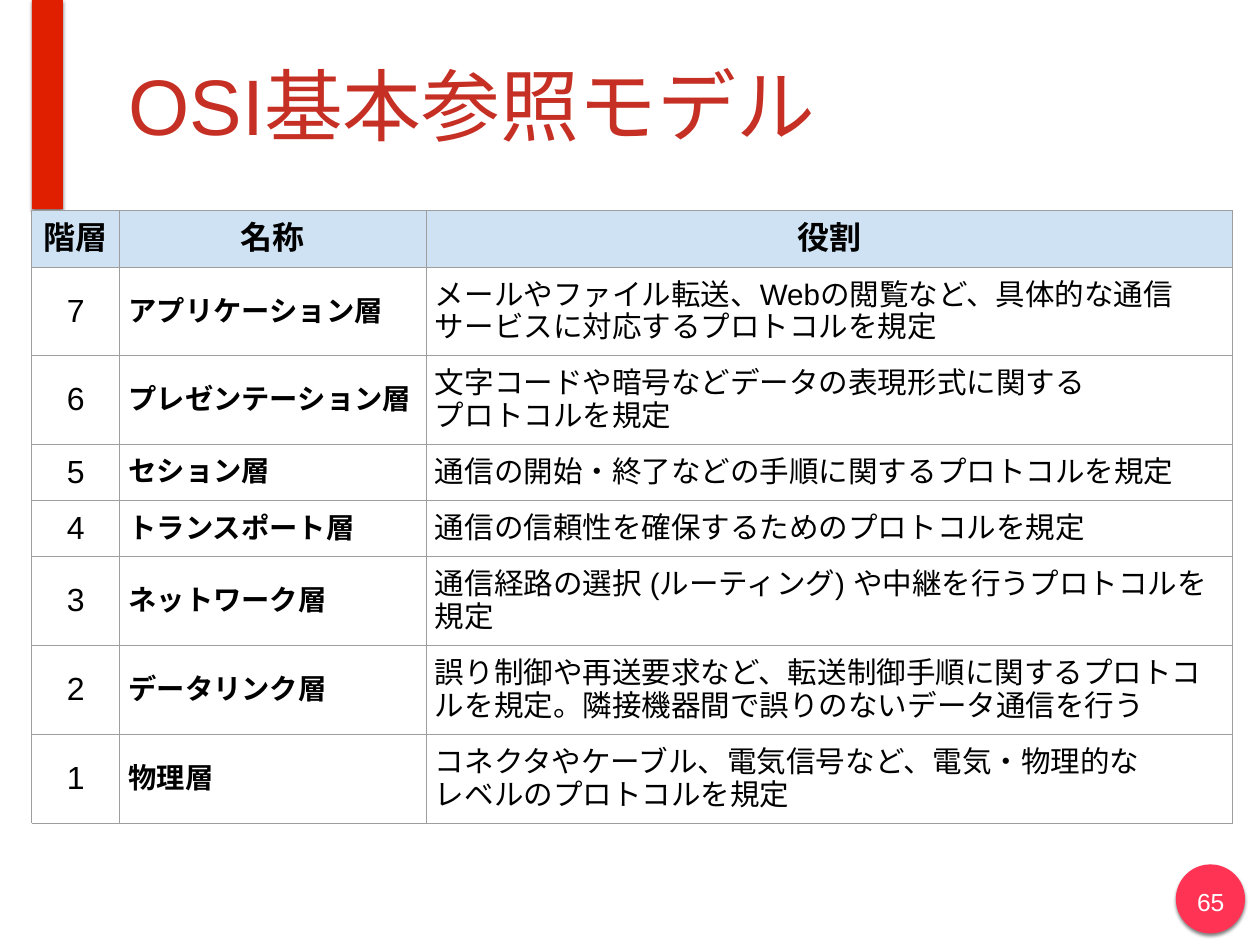
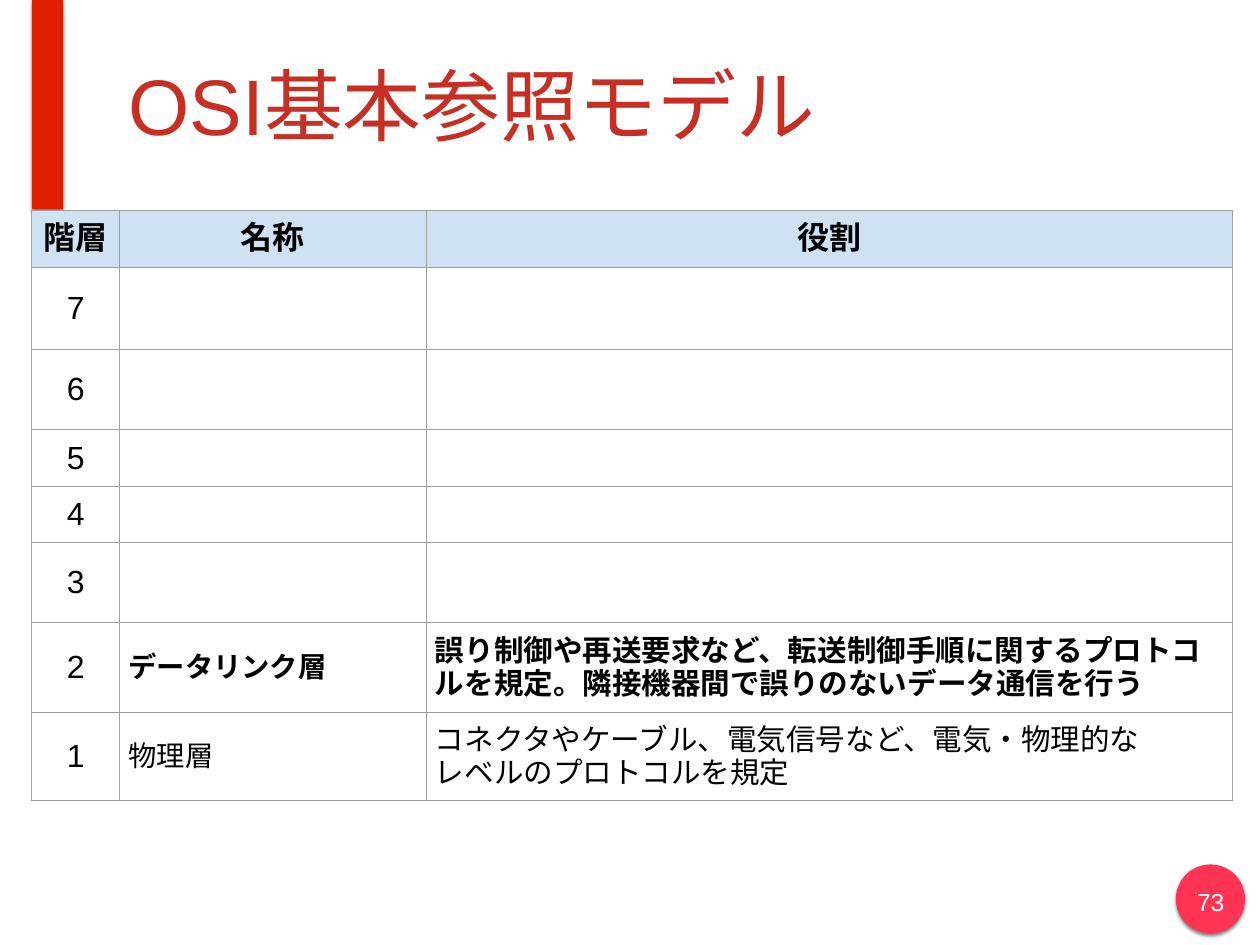
from dataclasses import dataclass

from lxml.etree import SubElement
from pptx import Presentation
from pptx.dml.color import RGBColor
from pptx.enum.lang import MSO_LANGUAGE_ID as Lang
from pptx.enum.shapes import MSO_SHAPE as Shape
from pptx.enum.text import MSO_ANCHOR as Anchor, MSO_AUTO_SIZE as AutoSize, PP_ALIGN as Align
from pptx.oxml.ns import qn
from pptx.util import Inches, Pt


@dataclass(frozen=True)
class Theme:
    font: str = "Arial"
    bar: str = "DF1F00"
    badge: str = "FF3455"
    title: str = "C63024"
    text: str = "000000"
    page: str = "FFFFFF"
    header: str = "CFE2F3"
    border: str = "9E9E9E"
    title_size: int = 64
    label_size: int = 26
    name_size: int = 23
    role_size: int = 24
    page_size: int = 20


theme = Theme()
WIDTH, HEIGHT = Inches(14.22), Inches(10.67)


def share(left, top, width, height):
    return [int(size * percent / 100) for size, percent in
            zip((WIDTH, HEIGHT, WIDTH, HEIGHT), (left, top, width, height))]


def write(frame, text, size, color, align=Align.LEFT, bold=False):
    frame.text = text
    for paragraph in frame.paragraphs:
        paragraph.alignment = align
        font = paragraph.font
        font.size, font.bold, font.name = Pt(size), bold, theme.font
        font.language_id = Lang.JAPANESE
        font.color.rgb = RGBColor.from_string(color)
        SubElement(font._rPr, qn("a:ea"), typeface=theme.font)


HEADINGS = ("階層", "名称", "役割")
LAYERS = {
    7: ("アプリケーション層", "メールやファイル転送、Webの閲覧など、具体的な通信サービスに対応するプロトコルを規定"),
    6: ("プレゼンテーション層", "文字コードや暗号などデータの表現形式に関する\nプロトコルを規定"),
    5: ("セション層", "通信の開始・終了などの手順に関するプロトコルを規定"),
    4: ("トランスポート層", "通信の信頼性を確保するためのプロトコルを規定"),
    3: ("ネットワーク層", "通信経路の選択 (ルーティング) や中継を行うプロトコルを規定"),
    2: ("データリンク層", "誤り制御や再送要求など、転送制御手順に関するプロトコルを規定。隣接機器間で誤りのないデータ通信を行う"),
    1: ("物理層", "コネクタやケーブル、電気信号など、電気・物理的な\nレベルのプロトコルを規定"),
}
COLUMN_SHARES = (6.96, 24.33, 63.99)
ROW_SHARES = (5.9, 8.72, 8.53, 5.9, 5.9, 8.53, 9.47, 8.53)

PAGES = (
    ("65", {level: (True, False) for level in LAYERS}),
    ("73", {2: (True, True), 1: (False, False)}),
)

deck = Presentation()
deck.slide_width, deck.slide_height = WIDTH, HEIGHT
layout = deck.slide_layouts[5]
slides = [deck.slides.add_slide(layout) for _ in PAGES]

heading = layout.placeholders[0]
heading.left, heading.top, heading.width, heading.height = share(9.77, 1.12, 85.37, 19.87)

for kind, color, area in (
    (Shape.RECTANGLE, theme.bar, share(2.53, 0, 2.46, 22.12)),
    (Shape.OVAL, theme.badge, share(93.32, 91.47, 5.49, 7.31)),
):
    decoration = slides[0].shapes.add_shape(kind, *area)
    decoration.fill.solid()
    decoration.fill.fore_color.rgb = RGBColor.from_string(color)
    decoration.line.fill.background()
    effects = SubElement(decoration.element.spPr, qn("a:effectLst"))
    shadow = SubElement(effects, qn("a:outerShdw"), blurRad=str(Pt(3)), dist=str(Pt(2)),
                        dir="5400000", algn="ctr", rotWithShape="0")
    shade = SubElement(shadow, qn("a:srgbClr"), val=theme.text)
    SubElement(shade, qn("a:alpha"), val="50000")
    layout.shapes.element.insert(2, decoration.element)

for slide, (page, shown) in zip(slides, PAGES):
    title = slide.shapes.title.text_frame
    number = slide.shapes.add_textbox(*share(94.37, 93.25, 3.45, 4.22)).text_frame
    for frame in (title, number):
        frame.word_wrap = True
        frame.margin_left = frame.margin_right = Inches(0.06)
        frame.margin_top = frame.margin_bottom = Inches(0.06)
    title.auto_size = AutoSize.NONE
    title.vertical_anchor = Anchor.MIDDLE
    write(title, "OSI基本参照モデル", theme.title_size, theme.title)
    write(number, page, theme.page_size, theme.page, Align.CENTER)

    area = share(2.53, 22.31, sum(COLUMN_SHARES), sum(ROW_SHARES))
    model = slide.shapes.add_table(len(ROW_SHARES), len(COLUMN_SHARES), *area).table
    model.horz_banding = False
    for column, percent in zip(model.columns, COLUMN_SHARES):
        column.width = int(WIDTH * percent / 100)
    for row, percent in zip(model.rows, ROW_SHARES):
        row.height = int(HEIGHT * percent / 100)

    for cell in model.iter_cells():
        cell.vertical_anchor = Anchor.MIDDLE
        cell.margin_left = cell.margin_right = Inches(0.1)
        cell.margin_top = cell.margin_bottom = Inches(0.1)
        properties = cell._tc.get_or_add_tcPr()
        for side in ("a:lnL", "a:lnR", "a:lnT", "a:lnB"):
            edge = SubElement(properties, qn(side), w=str(Pt(0.75)))
            SubElement(SubElement(edge, qn("a:solidFill")), qn("a:srgbClr"), val=theme.border)
        cell.fill.background()

    for index, label in enumerate(HEADINGS):
        cell = model.cell(0, index)
        cell.fill.solid()
        cell.fill.fore_color.rgb = RGBColor.from_string(theme.header)
        write(cell.text_frame, label, theme.label_size, theme.text, Align.CENTER, True)

    for row, (level, (name, role)) in enumerate(LAYERS.items(), 1):
        write(model.cell(row, 0).text_frame, str(level), theme.label_size, theme.text, Align.CENTER)
        if level in shown:
            name_bold, role_bold = shown[level]
            write(model.cell(row, 1).text_frame, name, theme.name_size, theme.text, bold=name_bold)
            write(model.cell(row, 2).text_frame, role, theme.role_size, theme.text, bold=role_bold)

deck.save("out.pptx")
